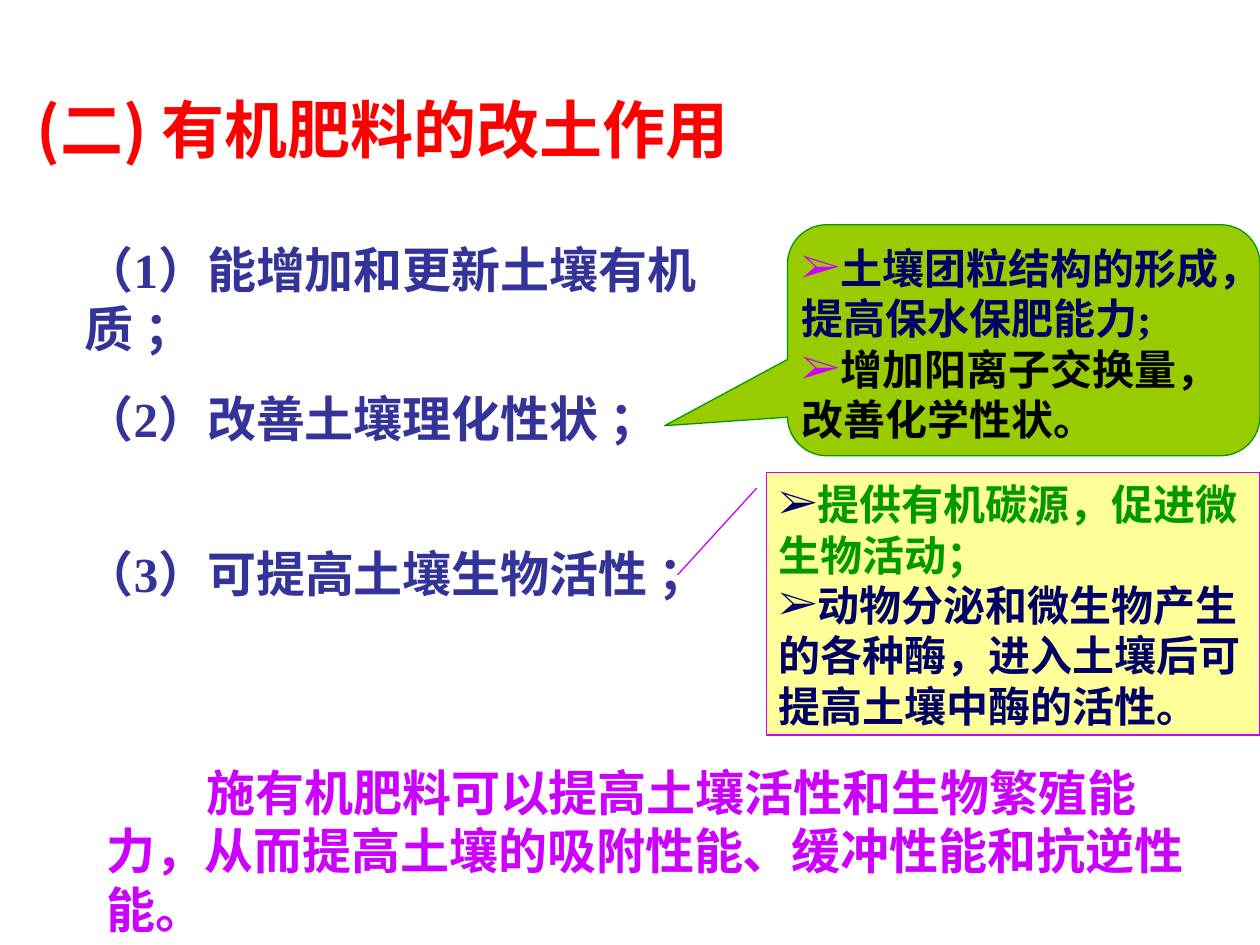
from lxml import etree
from pptx import Presentation
from pptx import util as u
from pptx.dml.color import RGBColor
from pptx.enum import shapes, text
from pptx.oxml.ns import qn

SANS, SERIF = "Noto Sans CJK SC", "Times New Roman"
RED, INDIGO, NAVY, PURPLE = "FF0000", "333399", "000066", "CC00FF"
GREEN, LIME, YELLOW, BLACK = "009900", "99CC00", "FFFF99", "000000"


def color(code):
    return RGBColor.from_string(code)


def write(para, words, size=28, font=SERIF, ink=INDIGO, indent=0, bullet=None,
          hang=True):
    """Fill a paragraph with one bold run.

    bullet is the colour of an arrow bullet; hang lets punctuation pass the margin.
    """
    span = para.add_run()
    span.text = words
    span.font.size, span.font.name, span.font.bold = u.Pt(size), font, True
    span.font.color.rgb = color(ink)
    east = etree.SubElement(span.font._element, qn("a:ea"))
    east.set("typeface", SANS)
    para.alignment = text.PP_ALIGN.LEFT
    props = para._p.get_or_add_pPr()
    props.set("marL", "0")
    props.set("indent", str(u.Inches(indent)))
    props.set("hangingPunct", "1" if hang else "0")
    if bullet:
        tint = etree.SubElement(props, qn("a:buClr"))
        etree.SubElement(tint, qn("a:srgbClr")).set("val", bullet)
        etree.SubElement(props, qn("a:buFont")).set("typeface", SERIF)
        etree.SubElement(props, qn("a:buChar")).set("char", "➢")


class Board:
    """Current slide on a grid of 120 columns by 90 rows."""

    def __init__(self, deck):
        self.slide = deck.slides.add_slide(deck.slide_layouts[6])
        self.column = deck.slide_width / 120
        self.row = deck.slide_height / 90

    def place(self, left, top, width, height):
        return [round(n) for n in (left * self.column, top * self.row,
                                   width * self.column, height * self.row)]

    def label(self, area, words, **style):
        box = self.slide.shapes.add_textbox(*self.place(*area))
        frame = box.text_frame
        frame.word_wrap = True
        frame.auto_size = text.MSO_AUTO_SIZE.SHAPE_TO_FIT_TEXT
        write(frame.paragraphs[0], words, **style)

    def callout(self, kind, area, adjust, fill, line, points, inset=0.1):
        shape = self.slide.shapes.add_shape(kind, *self.place(*area))
        shape.shadow.inherit = False
        for index, value in enumerate(adjust):
            shape.adjustments[index] = value
        shape.fill.solid()
        shape.fill.fore_color.rgb = color(fill)
        shape.line.color.rgb = color(line)
        shape.line.width = u.Pt(0.75)
        frame = shape.text_frame
        frame.word_wrap = True
        frame.vertical_anchor = text.MSO_ANCHOR.TOP
        frame.margin_left = frame.margin_right = u.Inches(inset)
        for index, (words, ink, bullet) in enumerate(points):
            para = frame.add_paragraph() if index else frame.paragraphs[0]
            write(para, words, size=24, ink=ink, bullet=bullet)


def main():
    deck = Presentation()
    deck.slide_width, deck.slide_height = u.Inches(10), u.Inches(7.5)
    board = Board(deck)

    # Title
    board.label((1, 8, 78, 8.4), "(二) 有机肥料的改土作用",
                size=36, font=SANS, ink=RED, indent=0.11)

    # Three numbered effects; the first wraps clear of the callout
    effects = [(22.2, 65, "（1）能增加和更新土壤有机质 ；"),
               (36.4, 59.8, "（2）改善土壤理化性状 ；"),
               (51.2, 92, "（3）可提高土壤生物活性 ；")]
    for top, width, words in effects:
        board.label((6.9, top, width, 6.8), words)

    # Conclusion
    board.label((9, 72, 106, 18),
                "施有机肥料可以提高土壤活性和生物繁殖能力，"
                "从而提高土壤的吸附性能、缓冲性能和抗逆性能。",
                ink=PURPLE, indent=0.79, hang=False)

    # Callouts explaining the second and third effects
    kinds = shapes.MSO_SHAPE
    board.callout(kinds.ROUNDED_RECTANGULAR_CALLOUT, (75, 21.4, 45, 22),
                  (-0.76, 0.37, 0.17), LIME, GREEN,
                  [("土壤团粒结构的形成，提高保水保肥能力;", NAVY, PURPLE),
                   ("增加阳离子交换量，改善化学性状。", BLACK, PURPLE)],
                  inset=0.02)
    board.callout(kinds.LINE_CALLOUT_1, (73, 45, 47, 25),
                  (0.06, -0.02, 0.39, -0.18), YELLOW, PURPLE,
                  [("提供有机碳源，促进微生物活动；", GREEN, NAVY),
                   ("动物分泌和微生物产生的各种酶，进入土壤后可提高土壤中酶的活性。",
                    NAVY, NAVY)])

    deck.save("out.pptx")


if __name__ == "__main__":
    main()
